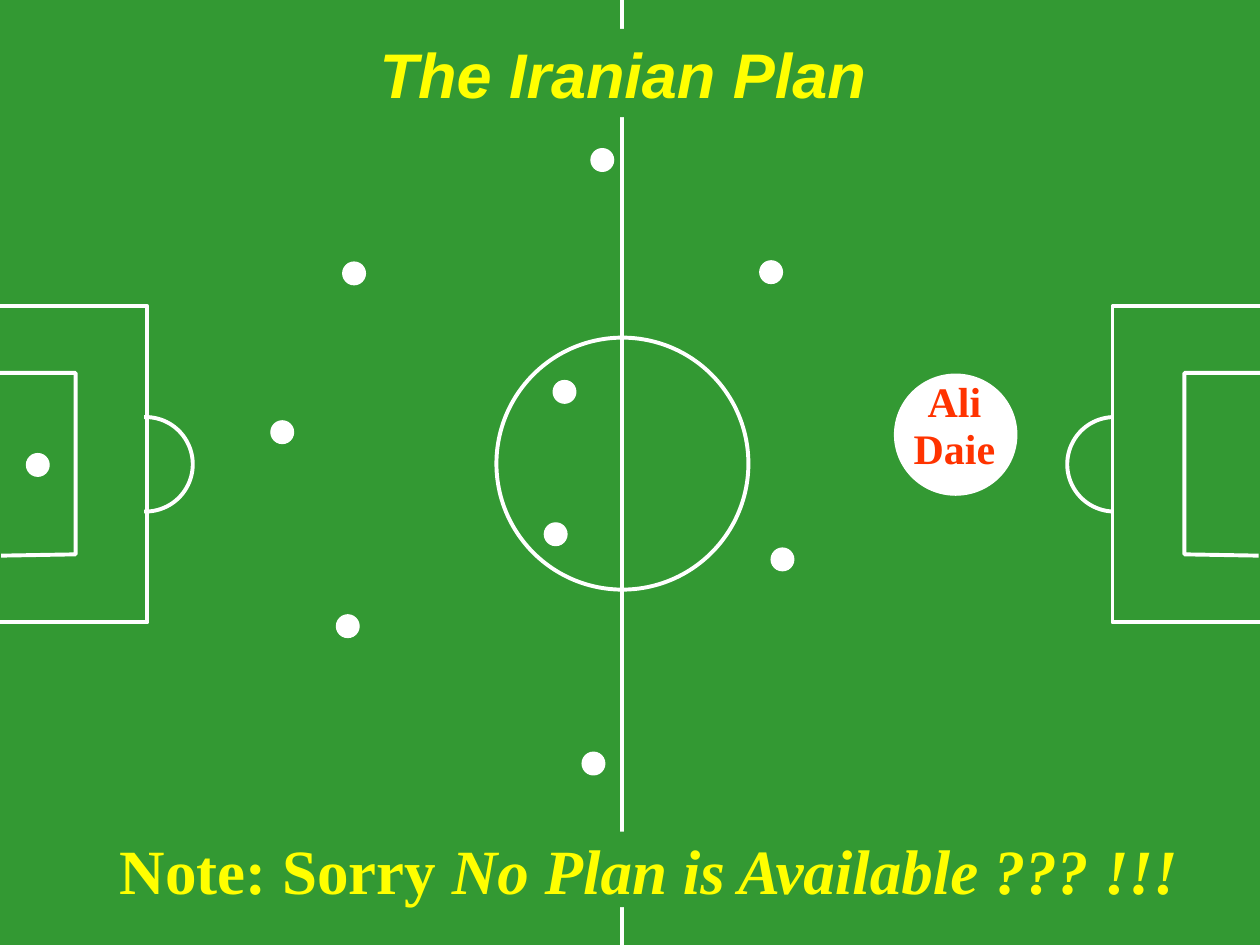
from lxml import etree
from pptx import Presentation
from pptx.dml.color import RGBColor
from pptx.enum.shapes import MSO_CONNECTOR, MSO_SHAPE
from pptx.enum.text import MSO_ANCHOR, MSO_AUTO_SIZE, PP_ALIGN
from pptx.oxml.ns import qn
from pptx.util import Inches, Pt

STRAIGHT = MSO_CONNECTOR.STRAIGHT
OVAL = MSO_SHAPE.OVAL
RECTANGLE = MSO_SHAPE.RECTANGLE
TOP = MSO_ANCHOR.TOP
NO_AUTOFIT = MSO_AUTO_SIZE.NONE
CENTER = PP_ALIGN.CENTER

COLORS = {"grass": "339933", "chalk": "FFFFFF", "heading": "FFFF00", "star": "FF3300"}
WIDTH, HEIGHT = 10, 7.5
MIDLINE = 4.94
CHALK_WIDTH = 2.25
PLAYER_SIZE = 0.18
PENALTY_AREA = [(0, 2.43), (1.17, 2.43), (1.17, 4.94), (0, 4.94)]
GOAL_AREA = [(0, 2.96), (0.6, 2.96), (0.6, 4.4), (0.01, 4.41)]
PLAYERS = [
    (0.21, 3.6), (4.62, 5.97), (4.32, 4.15), (4.69, 1.18), (2.72, 2.08), (2.67, 4.88),
    (6.03, 2.07), (4.39, 3.02), (2.15, 3.34), (6.12, 4.35),
]


def color(name):
    return RGBColor.from_string(COLORS[name])


def set_line(shape, name, width):
    shape.line.color.rgb = color(name)
    shape.line.width = Pt(width)


def set_fill(shape, name):
    if name is None:
        shape.fill.background()
    else:
        shape.fill.solid()
        shape.fill.fore_color.rgb = color(name)


def add_shape(slide, kind, left, top, width, height, fill, line, line_width):
    shape = slide.shapes.add_shape(
        kind, Inches(left), Inches(top), Inches(width), Inches(height))
    shape.shadow.inherit = False
    set_fill(shape, fill)
    set_line(shape, line, line_width)


def add_halfway_line(slide):
    connector = slide.shapes.add_connector(
        STRAIGHT, Inches(MIDLINE), 0, Inches(MIDLINE), Inches(HEIGHT))
    set_line(connector, "chalk", CHALK_WIDTH)
    etree.SubElement(connector._element.spPr, qn("a:effectLst"))


def add_outline(slide, points):
    corners = [(Inches(x), Inches(y)) for x, y in points]
    builder = slide.shapes.build_freeform(*corners[0])
    builder.add_line_segments(corners[1:], close=False)
    shape = builder.convert_to_shape()
    shape.shadow.inherit = False
    set_fill(shape, None)
    set_line(shape, "chalk", CHALK_WIDTH)


def add_pitch_end(slide, mirrored):
    for area in (PENALTY_AREA, GOAL_AREA):
        add_outline(slide, [(WIDTH - x if mirrored else x, y) for x, y in area])
    arc_left, mask_left = (8.47, 8.85) if mirrored else (0.78, 0.72)
    add_shape(slide, OVAL, arc_left, 3.31, 0.75, 0.75, None, "chalk", CHALK_WIDTH)
    add_shape(slide, RECTANGLE, mask_left, 3.14, 0.42, 1.08, "grass", "grass", 0.75)


def add_pitch(slide):
    add_halfway_line(slide)
    add_shape(slide, OVAL, MIDLINE - 1, 2.68, 2, 2, None, "chalk", CHALK_WIDTH)
    for mirrored in (False, True):
        add_pitch_end(slide, mirrored)


def place(shape, left, top, width, height):
    shape.left, shape.top = Inches(left), Inches(top)
    shape.width, shape.height = Inches(width), Inches(height)


def prepare_frame(shape, margin_x=0.1, margin_y=0.05):
    frame = shape.text_frame
    frame.word_wrap = True
    frame.auto_size = NO_AUTOFIT
    frame.vertical_anchor = TOP
    frame.margin_left = frame.margin_right = Inches(margin_x)
    frame.margin_top = frame.margin_bottom = Inches(margin_y)
    return frame


def format_run(run, font, size, name, italic=False):
    run.font.name = font
    run.font.size = Pt(size)
    run.font.bold = True
    run.font.italic = italic
    run.font.color.rgb = color(name)


def add_title(slide):
    title = slide.shapes.title
    slide.shapes._spTree.append(title._element)
    place(title, 2.36, 0.23, 5.17, 0.7)
    set_fill(title, "grass")
    frame = prepare_frame(title)
    frame.text = "The Iranian Plan"
    paragraph = frame.paragraphs[0]
    paragraph.alignment = CENTER
    format_run(paragraph.runs[0], "Arial", 36, "heading", italic=True)


def add_note(slide):
    note = slide.shapes.add_textbox(Inches(0.67), Inches(6.6), Inches(8.96), Inches(0.6))
    set_fill(note, "grass")
    paragraph = prepare_frame(note, 0, 0).paragraphs[0]
    paragraph.alignment = CENTER
    for text, italic in (("Note: Sorry ", False), ("No Plan is Available ??? !!!", True)):
        run = paragraph.add_run()
        run.text = text
        format_run(run, "Times New Roman", 36, "heading", italic)


def add_star_name(slide):
    label = slide.shapes.add_textbox(Inches(7.06), Inches(3.14), Inches(1.03), Inches(0.63))
    frame = prepare_frame(label)
    frame.text = "Ali\nDaie"
    for paragraph in frame.paragraphs:
        paragraph.alignment = CENTER
        paragraph.line_spacing = 0.4
        paragraph.space_before = Pt(15)
        format_run(paragraph.runs[0], "Times New Roman", 24, "star")


def main():
    presentation = Presentation()
    presentation.slide_width = Inches(WIDTH)
    presentation.slide_height = Inches(HEIGHT)
    slide = presentation.slides.add_slide(presentation.slide_layouts[5])
    set_fill(slide.background, "grass")
    add_pitch(slide)
    add_title(slide)
    for left, top in PLAYERS:
        add_shape(slide, OVAL, left, top, PLAYER_SIZE, PLAYER_SIZE, "chalk", "chalk", 0.75)
    add_shape(slide, OVAL, 7.1, 2.97, 0.97, 0.96, "chalk", "chalk", 0.75)
    add_note(slide)
    add_star_name(slide)
    presentation.save("out.pptx")


if __name__ == "__main__":
    main()
